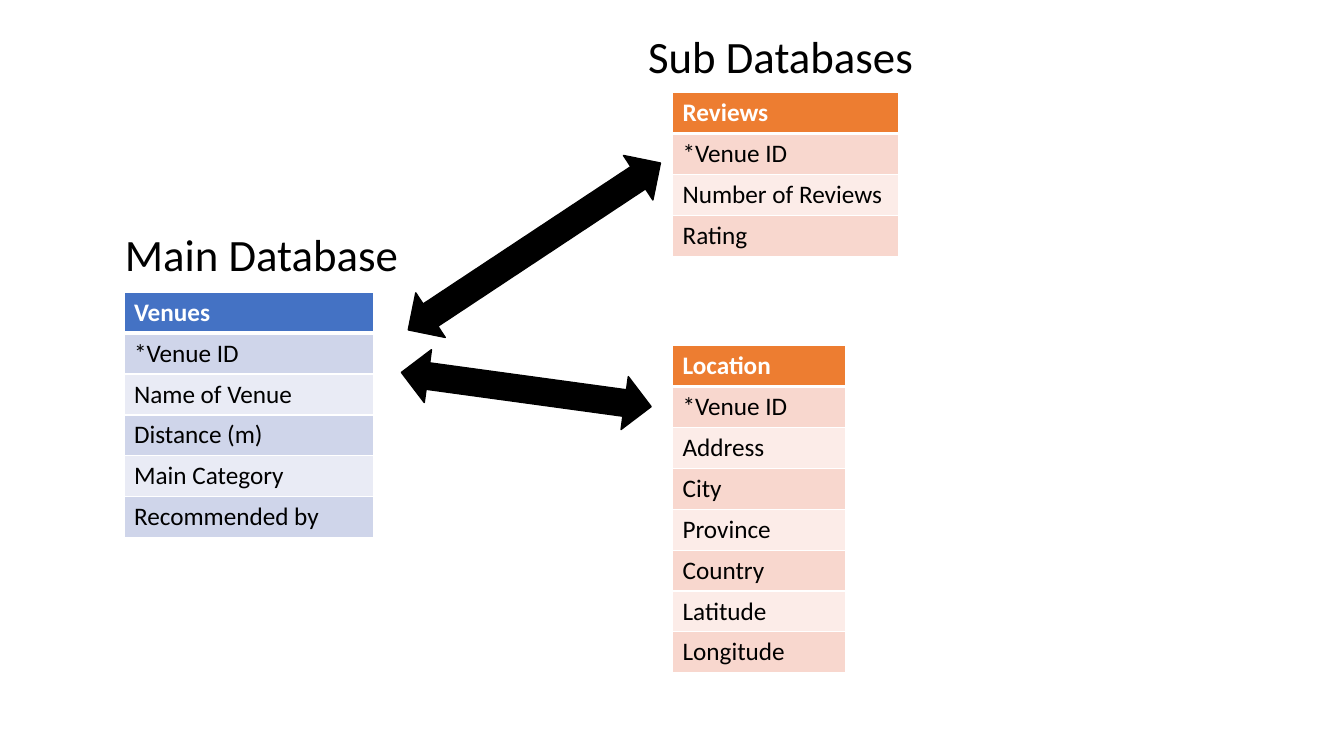
"""Build a slide relating a main venue database to its two sub databases."""
from lxml import etree
from pptx import Presentation
from pptx import util as u
from pptx.dml.color import RGBColor
from pptx.enum import shapes, text
from pptx.oxml import ns

BLUE = ("4472C4", "CFD5EA", "E9EBF5")
ORANGE = ("ED7D31", "F8D7CE", "FCECE8")


def paint(fill, color):
    """Fill an object with a solid hex colour."""
    fill.solid()
    fill.fore_color.rgb = RGBColor.from_string(color)


def write(frame, words, size=18, color="000000", bold=False, font="Calibri"):
    """Put one formatted run of text in a frame."""
    para = frame.paragraphs[0]
    para.alignment = text.PP_ALIGN.LEFT
    span = para.add_run()
    span.text = words
    span.font.name = font
    span.font.size = u.Pt(size)
    span.font.bold = bold
    paint(span.font.fill, color)


def add_borders(cell, top, bottom, color="FFFFFF"):
    """Draw the four borders of a table cell, with widths in points."""
    properties = cell._tc.get_or_add_tcPr()
    for side, width in (("L", 1), ("R", 1), ("T", top), ("B", bottom)):
        line = etree.SubElement(properties, ns.qn(f"a:ln{side}"), w=str(u.Pt(width)))
        solid = etree.SubElement(line, ns.qn("a:solidFill"))
        etree.SubElement(solid, ns.qn("a:srgbClr"), val=color)


class DatabaseSlide:
    """Hold the style and the current slide."""

    row_height = 0.405
    heading_size = 32
    arrow_color = "000000"

    def __init__(self, deck):
        """Add a blank slide to the deck."""
        self.shapes = deck.slides.add_slide(deck.slide_layouts[6]).shapes

    def heading(self, words, left, top):
        """Add a heading above a group of tables."""
        box = self.shapes.add_textbox(*map(u.Inches, (left, top, 2.92, 0.64)))
        box.text_frame.word_wrap = True
        box.text_frame.auto_size = text.MSO_AUTO_SIZE.SHAPE_TO_FIT_TEXT
        write(box.text_frame, words, size=self.heading_size)

    def table(self, fields, left, top, width, palette):
        """Add a one-column table with a header and banded rows."""
        header, *bands = palette
        height = self.row_height * len(fields)
        frame = self.shapes.add_table(len(fields), 1, *map(u.Inches, (left, top, width, height)))
        for index, field in enumerate(fields):
            frame.table.rows[index].height = u.Inches(self.row_height)
            cell = frame.table.cell(index, 0)
            is_header = index == 0
            add_borders(cell, top=3 if index == 1 else 1, bottom=3 if is_header else 1)
            paint(cell.fill, header if is_header else bands[(index - 1) % 2])
            write(cell.text_frame, field, color="FFFFFF" if is_header else "000000", bold=is_header)

    def arrow(self, left, top, width, rotation):
        """Add a double-headed block arrow."""
        arrow = self.shapes.add_shape(
            shapes.MSO_SHAPE.LEFT_RIGHT_ARROW, *map(u.Inches, (left, top, width, 0.53)))
        arrow.rotation = rotation
        arrow.shadow.inherit = False
        paint(arrow.fill, self.arrow_color)
        paint(arrow.line.fill, self.arrow_color)
        arrow.line.width = u.Pt(1)


def main():
    """Build and save the deck."""
    deck = Presentation()
    deck.slide_width, deck.slide_height = u.Inches(13.33), u.Inches(7.5)
    page = DatabaseSlide(deck)
    page.table(["Venues", "*Venue ID", "Name of Venue", "Distance (m)", "Main Category",
                "Recommended by"], 1.23, 2.9, 2.48, BLUE)
    page.table(["Reviews", "*Venue ID", "Number of Reviews", "Rating"], 6.67, 0.92, 2.24, ORANGE)
    page.table(["Location", "*Venue ID", "Address", "City", "Province", "Country", "Latitude",
                "Longitude"], 6.67, 3.43, 1.72, ORANGE)
    page.arrow(3.97, 3.6, 2.5, 7.8)
    page.arrow(3.8, 2.18, 3, 326.5)
    page.heading("Main Database", 1.14, 2.2)
    page.heading("Sub Databases", 6.33, 0.24)
    deck.save("out.pptx")


if __name__ == "__main__":
    main()
